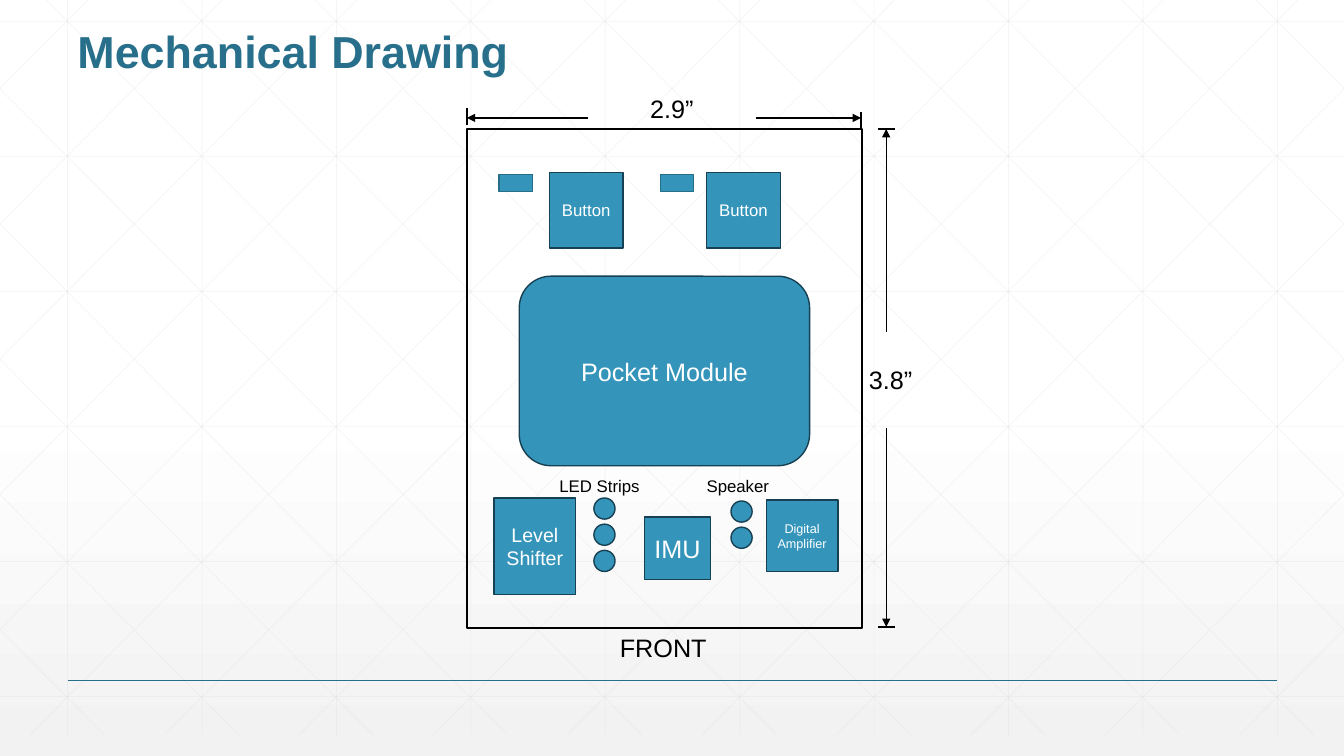
"""Build the mechanical drawing slide of a board front with its dimensions."""
from dataclasses import dataclass

from lxml import etree
from pptx import Presentation
from pptx.dml.color import RGBColor
from pptx.enum.shapes import MSO_CONNECTOR as Connector, MSO_SHAPE as Shape
from pptx.enum.text import MSO_ANCHOR as Anchor, PP_ALIGN as Align
from pptx.oxml.ns import qn
from pptx.util import Inches, Pt


@dataclass(frozen=True)
class Theme:
    font: str = "Arial"
    ink: str = "000000"
    white: str = "FFFFFF"
    fade: str = "F2F2F2"
    grid: str = "D9D9D9"
    heading: str = "276F8B"
    component: str = "3494BA"
    component_edge: str = "174152"
    led_edge: str = "266D8A"
    heading_size: int = 32
    large: int = 18
    medium: int = 14
    small: int = 12
    tiny: int = 9


theme = Theme()
WIDTH, HEIGHT = 13.33, 7.5

deck = Presentation()
deck.slide_width, deck.slide_height = Inches(WIDTH), Inches(HEIGHT)
slide = deck.slides.add_slide(deck.slide_layouts[6])
shapes = slide.shapes


def write(frame, text, size=theme.large, color=theme.ink, bold=False,
          align=Align.LEFT, anchor=Anchor.TOP, wrap=True, spacing=1.0):
    frame.word_wrap = wrap
    frame.vertical_anchor = anchor
    paragraph = frame.paragraphs[0]
    paragraph.alignment = align
    paragraph.line_spacing = spacing
    run = paragraph.add_run()
    run.text = text
    run.font.name = theme.font
    run.font.size = Pt(size)
    run.font.bold = bold
    run.font.color.rgb = RGBColor.from_string(color)


def draw_line(x1, y1, x2, y2, color=theme.ink, width=1, opacity=None, arrow=False):
    line = shapes.add_connector(Connector.STRAIGHT, Inches(x1), Inches(y1),
                                Inches(x2), Inches(y2))
    line.line.width = Pt(width)
    line.line.color.rgb = RGBColor.from_string(color)
    properties = line._element.spPr
    stroke = properties.find(qn("a:ln"))
    if opacity:
        tint = stroke.find(qn("a:solidFill")).find(qn("a:srgbClr"))
        etree.SubElement(tint, qn("a:alpha"), val=str(opacity * 1000))
    if arrow:
        etree.SubElement(stroke, qn("a:headEnd"), type="triangle")
    etree.SubElement(properties, qn("a:effectLst"))


backdrop = slide.background.fill
backdrop.gradient()
backdrop.gradient_angle = 270
for stop, position, shade in zip(backdrop.gradient_stops, (0.53, 1), (theme.white, theme.fade)):
    stop.position = position
    stop.color.rgb = RGBColor.from_string(shade)

GRID_TOP, GRID_BOTTOM, STEP = -0.21, 7.29, 4 / 3
SLOPE = 7.5 / 7.45
faint = dict(color=theme.grid, width=0.5, opacity=25)
for column in range(10):
    x = 0.67 + column * STEP
    draw_line(x, GRID_TOP, x, GRID_BOTTOM, **faint)
for row in range(6):
    y = 0.21 + row * 1.34
    draw_line(0, y, WIDTH, y, **faint)
for diagonal in range(-5, 10):
    start = 0.25 + diagonal * STEP
    left, right = max(start, 0), min(start + 7.45, WIDTH)
    top = GRID_TOP + (left - start) * SLOPE
    bottom = GRID_TOP + (right - start) * SLOPE
    draw_line(left, top, right, bottom, **faint)
    draw_line(WIDTH - left, top, WIDTH - right, bottom, **faint)

draw_line(0.67, 6.75, 12.67, 6.75, color=theme.heading)
heading = shapes.add_textbox(Inches(0.67), Inches(0.25), Inches(12), Inches(1))
write(heading.text_frame, "Mechanical Drawing", size=theme.heading_size,
      color=theme.heading, bold=True, spacing=0.9)

board = shapes.add_shape(Shape.RECTANGLE, Inches(4.63), Inches(1.28), Inches(3.92), Inches(4.95))
board.shadow.inherit = False
board.fill.background()
board.line.color.rgb = RGBColor.from_string(theme.ink)
board.line.width = Pt(1)

for tip, end, tick_top in ((4.63, 5.83, 1.07), (8.54, 7.5, 1.11)):
    draw_line(tip, 1.17, end, 1.17, arrow=True)
    draw_line(tip, tick_top, tip, tick_top + 0.17)
for tip, end in ((1.28, 3.29), (6.22, 4.25)):
    draw_line(8.79, tip, 8.79, end, arrow=True)
    draw_line(8.71, tip, 8.88, tip)

components = [
    (Shape.ROUNDED_RECTANGLE, 5.15, 2.74, 2.88, 1.88, "Pocket Module", theme.large),
    (Shape.RECTANGLE, 5.45, 1.71, 0.73, 0.75, "Button", theme.small),
    (Shape.RECTANGLE, 7.01, 1.71, 0.73, 0.75, "Button", theme.small),
    (Shape.RECTANGLE, 4.95, 1.73, 0.33, 0.17, "", None),
    (Shape.RECTANGLE, 6.55, 1.73, 0.33, 0.17, "", None),
    (Shape.RECTANGLE, 4.9, 4.94, 0.81, 0.96, "Level Shifter", theme.medium),
    (Shape.RECTANGLE, 6.39, 5.13, 0.66, 0.62, "IMU", theme.large),
    (Shape.RECTANGLE, 7.6, 4.96, 0.71, 0.71, "Digital Amplifier", theme.tiny),
]
for pin_x, pin_y, pins in ((5.89, 4.94, 3), (7.25, 4.97, 2)):
    components += [(Shape.OVAL, pin_x, pin_y + 0.26 * pin, 0.21, 0.21, "", None)
                   for pin in range(pins)]

for outline, x, y, width, height, caption, size in components:
    component = shapes.add_shape(outline, Inches(x), Inches(y), Inches(width), Inches(height))
    component.shadow.inherit = False
    component.fill.solid()
    component.fill.fore_color.rgb = RGBColor.from_string(theme.component)
    is_led = outline == Shape.RECTANGLE and not caption
    edge = theme.led_edge if is_led else theme.component_edge
    component.line.color.rgb = RGBColor.from_string(edge)
    component.line.width = Pt(1)
    if caption:
        write(component.text_frame, caption, size=size, color=theme.white,
              align=Align.CENTER, anchor=Anchor.MIDDLE)

for x, y, width, height, caption, size in (
    (6.35, 0.88, 0.64, 0.4, "2.9”", theme.large),
    (8.52, 3.57, 0.64, 0.4, "3.8”", theme.large),
    (6.05, 6.22, 1.07, 0.4, "FRONT", theme.large),
    (5.45, 4.67, 1, 0.3, "LED Strips", theme.small),
    (6.91, 4.67, 0.83, 0.3, "Speaker", theme.small),
):
    label = shapes.add_textbox(Inches(x), Inches(y), Inches(width), Inches(height))
    write(label.text_frame, caption, size=size, wrap=False)

deck.save("out.pptx")
